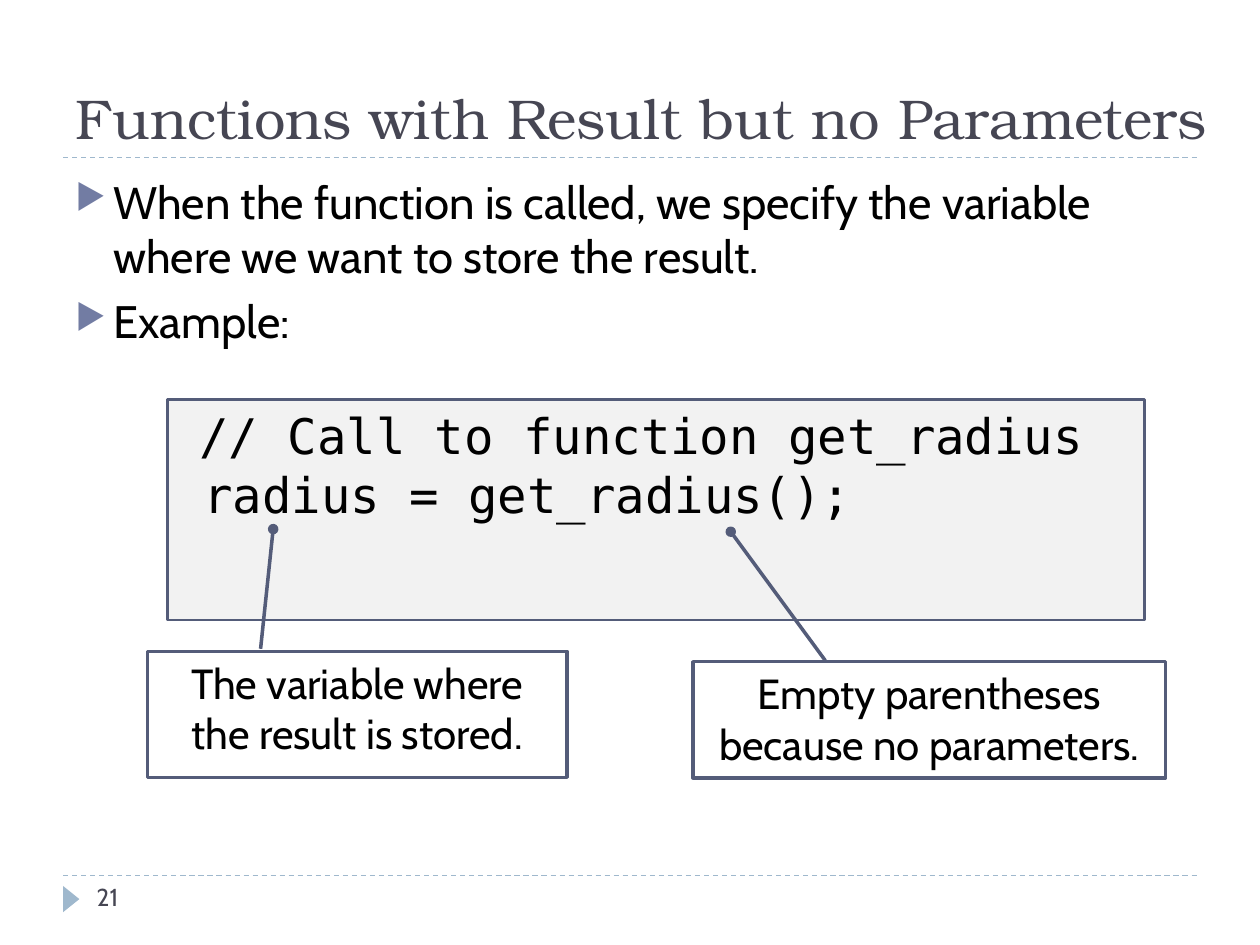
from dataclasses import dataclass

import pptx
import pptx.dml.color
import pptx.enum.dml
import pptx.enum.shapes
import pptx.enum.text
import pptx.oxml
import pptx.oxml.ns
import pptx.util

Cm = pptx.util.Cm
Pt = pptx.util.Pt
RGBColor = pptx.dml.color.RGBColor
MSO_SHAPE = pptx.enum.shapes.MSO_SHAPE
PP_ALIGN = pptx.enum.text.PP_ALIGN
MSO_ANCHOR = pptx.enum.text.MSO_ANCHOR

BLACK = RGBColor(0x00, 0x00, 0x00)
WHITE = RGBColor(0xFF, 0xFF, 0xFF)
GRAY = RGBColor(0xF2, 0xF2, 0xF2)
SLATE = RGBColor(0x54, 0x5C, 0x79)
DARK = RGBColor(0x46, 0x46, 0x53)
SKY = RGBColor(0x9F, 0xB8, 0xCD)
VIOLET = RGBColor(0x72, 0x7C, 0xA3)

BODY_FONT = "Cabin"
TITLE_FORMAT = {"name": "TeX Gyre Bonum", "size": Pt(32)}
BULLET_FORMAT = {"name": BODY_FONT, "size": Pt(26)}
CALLOUT_FORMAT = {"name": BODY_FONT, "size": Pt(24)}
NUMBER_FORMAT = {"name": BODY_FONT, "size": Pt(14)}
CODE_FORMAT = {"name": "DejaVu Sans Mono", "size": Pt(28)}
INDENT_FORMAT = {**CODE_FORMAT, "size": Pt(24)}


@dataclass(frozen=True)
class Box:
    left: float
    top: float
    width: float
    height: float

    def emu(self) -> tuple:
        return tuple(Cm(v) for v in (self.left, self.top, self.width, self.height))


@dataclass(frozen=True)
class Callout:
    box: Box
    text: str
    adjustments: tuple


BULLETS = (
    "When the function is called, we specify the variable where we want to store the result.",
    "Example:",
)
CODE = (
    ((" ", INDENT_FORMAT), ("// Call to function get_radius", CODE_FORMAT)),
    ((" radius = get_radius();", CODE_FORMAT),),
)
CALLOUTS = (
    Callout(Box(13.97, 13.34, 9.53, 2.34), "Empty parentheses because no parameters.",
            (-0.01, 0.28, -1.12, 0.08)),
    Callout(Box(2.97, 13.13, 8.46, 2.54), "The variable where the result is stored.",
            (-0.02, 0.27, -0.97, 0.3)),
)


def add_run(p, text: str, fmt: dict, color: RGBColor = BLACK) -> None:
    r = p.add_run()
    r.text = text
    for key, value in fmt.items():
        setattr(r.font, key, value)
    r.font.color.rgb = color


def add_text(s, box: Box, anchor=MSO_ANCHOR.TOP):
    tf = s.shapes.add_textbox(*box.emu()).text_frame
    tf.word_wrap = True
    tf.vertical_anchor = anchor
    return tf


def add_shape(s, kind, box: Box, fill: RGBColor, line_width: float = 0):
    sp = s.shapes.add_shape(kind, *box.emu())
    sp.shadow.inherit = False
    sp.fill.solid()
    sp.fill.fore_color.rgb = fill
    if line_width:
        sp.line.color.rgb = SLATE
        sp.line.width = Pt(line_width)
    else:
        sp.line.fill.background()
    sp.text_frame.word_wrap = True
    sp.text_frame.vertical_anchor = MSO_ANCHOR.TOP
    return sp


def add_rule(s, y: float) -> None:
    cx = s.shapes.add_connector(pptx.enum.shapes.MSO_CONNECTOR.STRAIGHT,
                                Cm(1.27), Cm(y), Cm(24.13), Cm(y))
    cx.line.color.rgb = SKY
    cx.line.width = Pt(0.75)
    cx.line.dash_style = pptx.enum.dml.MSO_LINE.DASH
    cx._element.spPr.append(pptx.oxml.parse_xml(
        f"<a:effectLst {pptx.oxml.ns.nsdecls('a')}/>"))


def add_bullet(p) -> None:
    pPr = p._p.get_or_add_pPr()
    pPr.set("marL", str(Cm(0.76)))
    pPr.set("indent", str(-Cm(0.76)))
    ns = pptx.oxml.ns.nsdecls("a")
    for xml in (
        f'<a:buClr {ns}><a:srgbClr val="{VIOLET}"/></a:buClr>',
        f'<a:buSzPct {ns} val="76000"/>',
        f'<a:buChar {ns} char="▶"/>',
    ):
        pPr.append(pptx.oxml.parse_xml(xml))


def add_body(s) -> None:
    tf = add_text(s, Box(1.27, 3.38, 22.86, 13.72))
    for i, text in enumerate(BULLETS):
        p = tf.add_paragraph() if i else tf.paragraphs[0]
        add_bullet(p)
        p.space_before = Pt(6 if i else 0)
        add_run(p, text, BULLET_FORMAT)


def add_code(s) -> None:
    tf = add_shape(s, MSO_SHAPE.RECTANGLE, Box(3.38, 8.05, 19.69, 4.45), GRAY, 1.5).text_frame
    for side in ("left", "top", "right", "bottom"):
        setattr(tf, f"margin_{side}", Cm(0.13))
    for i, runs in enumerate(CODE):
        p = tf.add_paragraph() if i else tf.paragraphs[0]
        p.alignment = PP_ALIGN.LEFT
        for text, fmt in runs:
            add_run(p, text, fmt)


def add_callout(s, callout: Callout) -> None:
    sp = add_shape(s, MSO_SHAPE.LINE_CALLOUT_1, callout.box, WHITE, 2)
    for i, value in enumerate(callout.adjustments):
        sp.adjustments[i] = value
    sp.line._get_or_add_ln().append(pptx.oxml.parse_xml(
        f'<a:tailEnd {pptx.oxml.ns.nsdecls("a")} type="oval"/>'))
    p = sp.text_frame.paragraphs[0]
    p.alignment = PP_ALIGN.CENTER
    add_run(p, callout.text, CALLOUT_FORMAT)


def main() -> None:
    prs = pptx.Presentation()
    prs.slide_width, prs.slide_height = Cm(25.4), Cm(19.05)
    s = prs.slides.add_slide(prs.slide_layouts[6])

    for y in (17.65, 3.18):
        add_rule(s, y)
    marker = add_shape(s, MSO_SHAPE.ISOSCELES_TRIANGLE, Box(1.17, 17.96, 0.53, 0.33), SKY)
    marker.rotation = 90

    add_body(s)
    add_code(s)
    for callout in CALLOUTS:
        add_callout(s, callout)

    title = add_text(s, Box(1.27, 0.43, 24.13, 2.74), MSO_ANCHOR.BOTTOM)
    add_run(title.paragraphs[0], "Functions with Result but no Parameters", TITLE_FORMAT, DARK)
    number = add_text(s, Box(1.7, 17.65, 5.51, 1.02))
    add_run(number.paragraphs[0], "21", NUMBER_FORMAT, DARK)

    prs.save("out.pptx")


if __name__ == "__main__":
    main()
